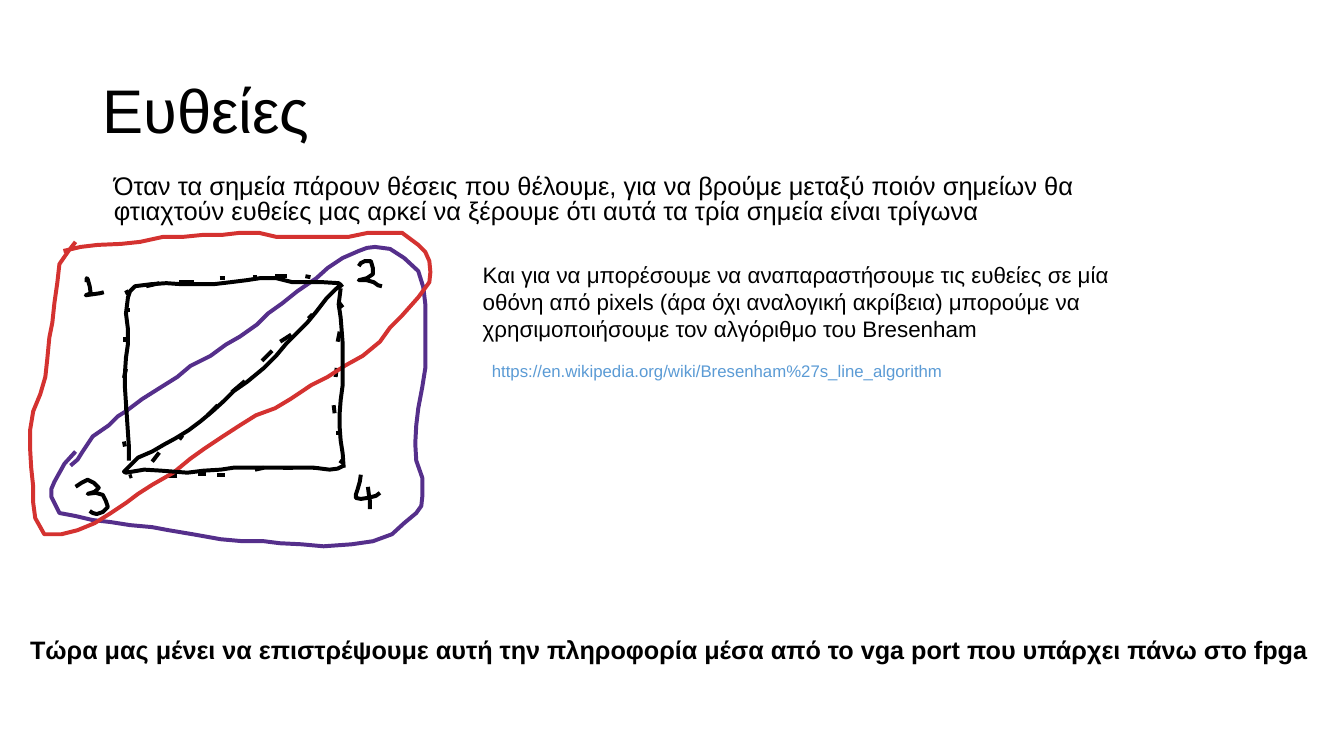
from lxml import etree
from pptx import Presentation
from pptx import util as u
from pptx.dml.color import RGBColor
from pptx.enum import shapes, text
from pptx.oxml.ns import qn

BLACK, PURPLE, RED, BLUE = "000000", "552F8B", "D43230", "5B9BD5"
FONT = "Arial"
INK_WIDTH = 2.83
GRID_LEFT, GRID_TOP, GRID_WIDTH = 30, 230, 398

DASHES = """
125,288 127,292  131,472 128,473  340,282 335,286  340,459 337,457
151,458 158,449  178,436 181,432  206,412 216,402  230,389 243,378
260,358 270,348  278,339 289,332  306,316 310,312  337,301 340,305
337,329 335,339  334,365 333,374  331,402 332,410  335,428 335,432
316,464 311,464  291,464 281,464  262,464 253,466  223,471 215,471
204,470 196,470  176,472 166,472  127,306 127,310  124,334 124,339
125,366 123,375  125,403 125,407  123,438 124,443  145,284 158,281
178,280 192,280  218,276 223,276  251,275 255,275  273,274 285,274
303,274 308,275
"""

DIGITS = [
    "86,280 86,276 87,277 89,284 90,291 85,293 85,293 92,292 99,291 103,290",
    "356,264 358,261 362,259 368,259 370,266 370,272 364,276 356,278 364,278 371,280 375,283 379,284",
    "75,483 81,479 87,476 93,479 98,484 94,488 87,490 95,489 102,491 105,497 107,503 102,508 96,510 92,509 89,507",
    "358,471 357,478 355,485 353,491 353,494 358,495 365,494 373,492 377,489",
    "365,483 366,491 367,497 367,505",
]

PURPLE_LOOP = """
70,462 77,456 82,448 92,433 108,422 117,413 125,408 141,396 160,384 176,374 189,363
209,353 224,342 238,334 255,322 266,311 280,301 295,289 314,276 325,266 340,256 356,249
364,246 372,245 387,247 401,256 415,269 420,285 422,302 422,325 422,346 422,365 419,384
415,405 413,422 412,440 413,457 419,474 419,493 418,502 413,509 401,519 389,530 370,537
349,540 321,542 299,540 278,539 262,537 241,537 219,535 191,530 167,526 151,523 129,521
110,518 92,516 75,512 59,509 51,493 51,485 54,478 64,460 75,448
"""

RED_LOOP = """
63,249 80,245 97,243 120,242 139,240 162,235 182,235 202,233 221,233 238,231 257,231
274,235 292,235 309,235 325,235 346,235 365,231 384,231 399,231 415,243 422,250 426,259
427,270 426,280 415,295 399,313 387,325 377,339 360,353 342,363 325,374 309,382 288,396
273,405 254,412 238,422 221,433 203,445 189,455 172,469 151,481 137,490 125,499 110,509
94,519 77,526 61,530 44,530 35,514 33,499 33,483 31,464 30,447 30,426 33,408 40,391
45,374 47,356 49,335 52,320 54,301 57,280 59,262 68,249 75,240
"""

RIGHT_SIDE = """
338,286 336,302 338,315 339,328 340,341 340,355 340,368 340,382 338,397 337,410 337,424
338,437 340,450 341,464
"""

SQUARE_AND_DIAGONAL = """
341,462 335,465 327,466 311,464 297,464 281,464 267,464 249,464 232,464 219,466 202,467
186,469 160,467 143,466 125,469 123,468 127,464 137,454 151,448 163,441 174,435 187,427
199,418 211,408 222,398 232,388 245,379 262,365 274,353 284,341 293,332 305,320 314,309
324,296 333,287 338,283 336,281 320,280 305,280 290,280 274,276 258,276 245,278 229,280
212,282 194,282 180,282 165,281 150,282 134,284 129,289 127,295 125,311 127,327 127,341
125,355 124,370 124,385 125,400 126,415 127,430 128,444 128,457
"""


def color(hex_value):
    """Return the colour for a hex string."""
    return RGBColor.from_string(hex_value)


def grid_points(data):
    """Read x,y pairs separated by blanks."""
    return [tuple(map(int, pair.split(","))) for pair in data.split()]


def style_ink(line, ink):
    """Give a line the pen colour and width."""
    line.color.rgb = color(ink)
    line.width = u.Pt(INK_WIDTH)


def add_text(tf, content, size, ink=BLACK, bold=False, spacing=1.0):
    """Write one left-aligned run into a text frame."""
    p = tf.paragraphs[0]
    p.alignment = text.PP_ALIGN.LEFT
    p.line_spacing = spacing
    p.space_before = u.Pt(0)
    r = p.add_run()
    r.text = content
    r.font.name = FONT
    r.font.size = u.Pt(size)
    r.font.bold = bold
    r.font.color.rgb = color(ink)


def add_title(s, box, content):
    """Place and fill the title placeholder."""
    sp = s.shapes.title
    sp.left, sp.top, sp.width, sp.height = map(u.Pt, box)
    sp.text_frame.vertical_anchor = text.MSO_ANCHOR.MIDDLE
    add_text(sp.text_frame, content, 44, spacing=0.9)


def add_note(s, box, content, size, wrap=True, **style):
    """Place a text box with one paragraph."""
    tf = s.shapes.add_textbox(*map(u.Pt, box)).text_frame
    tf.word_wrap = wrap
    add_text(tf, content, size, **style)


def add_sketch(s, left, top, width):
    """Draw the numbered square and the two point groups in the given box."""
    unit = width / GRID_WIDTH
    x0, y0 = left - GRID_LEFT * unit, top - GRID_TOP * unit

    def stroke(data, ink=BLACK):
        """Draw one open pen stroke."""
        start, *rest = grid_points(data)
        pen = s.shapes.build_freeform(*start, scale=u.Pt(unit))
        pen.add_line_segments(rest, close=False)
        sp = pen.convert_to_shape(u.Pt(x0), u.Pt(y0))
        sp.shadow.inherit = False
        sp.fill.background()
        style_ink(sp.line, ink)

    def dash(start, end):
        """Draw one short straight mark."""
        ends = [u.Pt(o + v * unit) for point in (start, end) for o, v in zip((x0, y0), point)]
        sp = s.shapes.add_connector(shapes.MSO_CONNECTOR.STRAIGHT, *ends)
        etree.SubElement(sp._element.spPr, qn("a:effectLst"))
        style_ink(sp.line, BLACK)

    marks = grid_points(DASHES)
    for start, end in zip(marks[::2], marks[1::2]):
        dash(start, end)
    for digit in DIGITS:
        stroke(digit)
    stroke(PURPLE_LOOP, PURPLE)
    stroke(RED_LOOP, RED)
    stroke(RIGHT_SIDE)
    stroke(SQUARE_AND_DIAGONAL)


def add_lines_slide(prs):
    """Build the slide about straight lines."""
    s = prs.slides.add_slide(prs.slide_layouts[5])
    add_title(s, (66, 29, 828, 104.4), "Ευθείες")
    add_note(s, (74.2, 121.7, 737.3, 54.7),
             "Όταν τα σημεία πάρουν θέσεις που θέλουμε, για να βρούμε μεταξύ ποιόν σημείων θα "
             "φτιαχτούν ευθείες μας αρκεί να ξέρουμε ότι αυτά τα τρία σημεία είναι τρίγωνα",
             18.2, spacing=0.83)
    add_sketch(s, 21.6, 165.6, 286.56)
    add_note(s, (337.7, 182.9, 490.3, 64.8),
             "Και για να μπορέσουμε να αναπαραστήσουμε τις ευθείες σε μία οθόνη από pixels "
             "(άρα όχι αναλογική ακρίβεια) μπορούμε να χρησιμοποιήσουμε τον αλγόριθμο του Bresenham", 16)
    add_note(s, (344.2, 254.2, 337.7, 21.6),
             "https://en.wikipedia.org/wiki/Bresenham%27s_line_algorithm", 12, ink=BLUE)
    add_note(s, (14.4, 449.3, 930.2, 28.8),
             "Τώρα μας μένει να επιστρέψουμε αυτή την πληροφορία μέσα από το vga port "
             "που υπάρχει πάνω στο fpga", 18, wrap=False, bold=True)


def main():
    """Create and save the presentation."""
    prs = Presentation()
    prs.slide_width, prs.slide_height = u.Pt(960), u.Pt(540)
    add_lines_slide(prs)
    prs.save("out.pptx")


if __name__ == "__main__":
    main()
